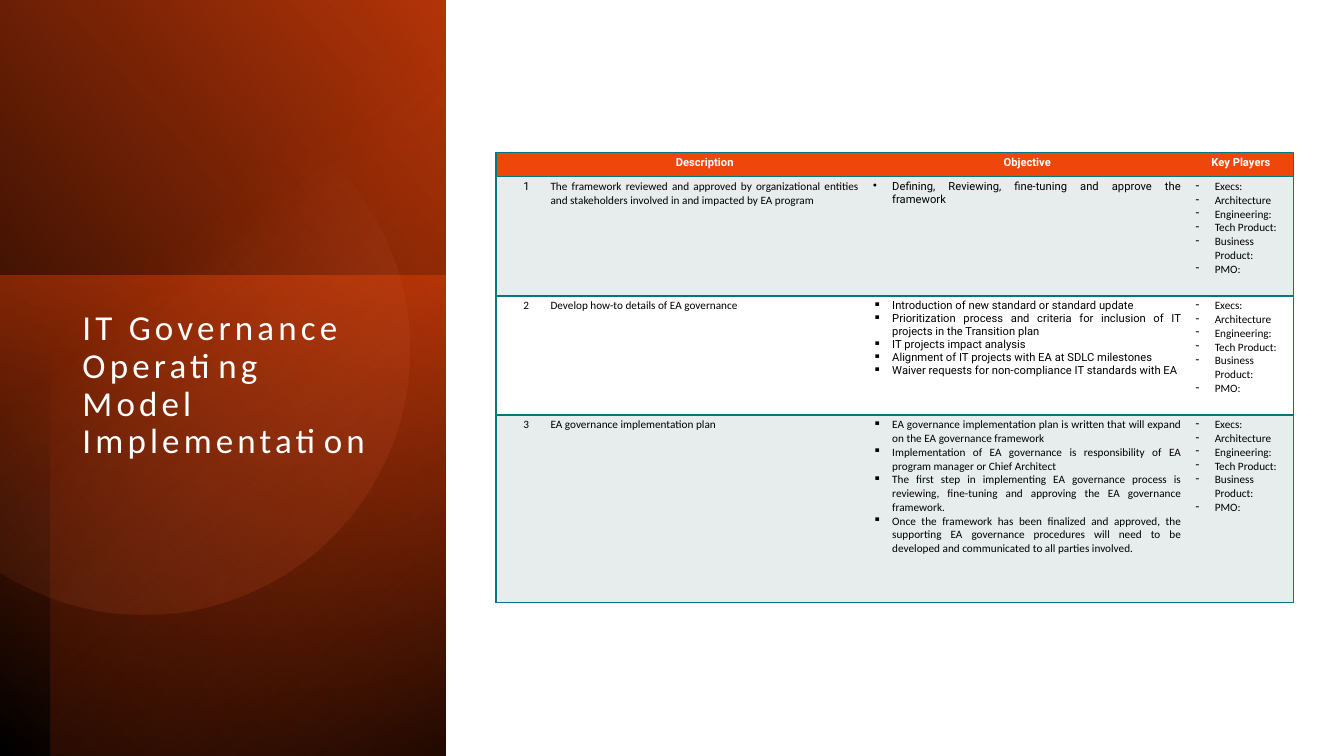
import math
from dataclasses import dataclass

import lxml.etree
import pptx
import pptx.dml.color
import pptx.enum.shapes
import pptx.enum.text
import pptx.oxml.ns
import pptx.util

COLORS = {
    "black": "000000", "white": "FFFFFF", "rust": "B33408", "orange": "EE460B",
    "brown": "772305", "peach": "F88E69", "teal": "04767F", "mist": "E7ECEC",
}
SLIDE_WIDTH = pptx.util.Inches(13.33)
SLIDE_HEIGHT = pptx.util.Inches(7.5)
PANEL_WIDTH = 33.16
JUSTIFY = pptx.enum.text.PP_ALIGN.JUSTIFY
CENTER = pptx.enum.text.PP_ALIGN.CENTER
qn = pptx.oxml.ns.qn


@dataclass
class Stop:
    position: int
    color: str
    opacity: int = 100


@dataclass
class Wash:
    """A panel layer: visible area in percent of the slide, and its gradient."""
    left: float
    top: float
    width: float
    height: float
    turn: int
    flipped: bool
    angle: int
    stops: list[Stop]


@dataclass
class Entry:
    """Text of one table cell."""
    lines: list[str]
    font: str = "Calibri"
    bullet: str = ""
    indent: float = 0


@dataclass
class Stage:
    number: Entry
    description: Entry
    objective: Entry


WASHES = [
    Wash(0, 0, PANEL_WIDTH, 100, 90, True, 310, [Stop(0, "black"), Stop(100, "rust")]),
    Wash(0, 36.5, PANEL_WIDTH, 63.5, 270, False, 190,
         [Stop(0, "orange", 50), Stop(100, "brown", 0)]),
    Wash(3.75, 0, 29.41, 100, 270, True, 220,
         [Stop(0, "black", 59), Stop(69, "orange", 0)]),
]
COLUMN_SHARES = [3.53, 24, 24, 7.8]
ROW_SHARES = [3.2, 15.75, 15.75, 24.8]
HEADINGS = ["", "Description", "Objective", "Key Players"]
KEY_PLAYERS = Entry(["Execs:", "Architecture", "Engineering:", "Tech Product:",
                     "Business Product:", "PMO:"], bullet="-")
STAGES = [
    Stage(
        Entry(["1"], "Roboto", indent=0.2),
        Entry(["The framework reviewed and approved by organizational entities "
               "and stakeholders involved in and impacted by EA program"]),
        Entry(["Defining, Reviewing, fine-tuning and approve the framework"], "Roboto", "•"),
    ),
    Stage(
        Entry(["2"], indent=0.2),
        Entry(["Develop how-to details of EA governance"]),
        Entry(["Introduction of new standard or standard update",
               "Prioritization process and criteria for inclusion of IT projects "
               "in the Transition plan",
               "IT projects impact analysis",
               "Alignment of IT projects with EA at SDLC milestones",
               "Waiver requests for non-compliance IT standards with EA"], "Roboto", "▪"),
    ),
    Stage(
        Entry(["3"], indent=0.2),
        Entry(["EA governance implementation plan"]),
        Entry(["EA governance implementation plan is written that will expand "
               "on the EA governance framework",
               "Implementation of EA governance is responsibility of EA program "
               "manager or Chief Architect",
               "The first step in implementing EA governance process is reviewing, "
               "fine-tuning and approving the EA governance framework.",
               "Once the framework has been finalized and approved, the supporting "
               "EA governance procedures will need to be developed and communicated "
               "to all parties involved."], bullet="▪"),
    ),
]


def across(percent: float) -> int:
    return round(SLIDE_WIDTH * percent / 100)


def down(percent: float) -> int:
    return round(SLIDE_HEIGHT * percent / 100)


def rgb(color: str) -> pptx.dml.color.RGBColor:
    return pptx.dml.color.RGBColor.from_string(COLORS[color])


def add_color(parent, color: str, opacity: int = 100) -> None:
    tint = lxml.etree.SubElement(parent, qn("a:srgbClr"), val=COLORS[color])
    if opacity < 100:
        lxml.etree.SubElement(tint, qn("a:alpha"), val=str(opacity * 1000))


def paint_gradient(layer, angle: float, stops: list[Stop]) -> None:
    layer.shadow.inherit = False
    layer.line.fill.background()
    layer.fill.gradient()
    gradient = layer.element.spPr.find(qn("a:gradFill"))
    gradient.find(qn("a:lin")).set("ang", str(round(angle * 60000)))
    ramp = gradient.find(qn("a:gsLst"))
    for old in list(ramp):
        ramp.remove(old)
    for stop in stops:
        mark = lxml.etree.SubElement(ramp, qn("a:gs"), pos=str(stop.position * 1000))
        add_color(mark, stop.color, stop.opacity)


def add_wash(slide, wash: Wash) -> None:
    # A quarter turn swaps the sides around the same centre
    width, height = across(wash.width), down(wash.height)
    left = across(wash.left) + (width - height) // 2
    top = down(wash.top) + (height - width) // 2
    layer = slide.shapes.add_shape(
        pptx.enum.shapes.MSO_SHAPE.RECTANGLE, left, top, height, width)
    layer.rotation = wash.turn
    if wash.flipped:
        layer.element.spPr.find(qn("a:xfrm")).set("flipH", "1")
    paint_gradient(layer, wash.angle, wash.stops)


def add_glow(slide) -> None:
    """Disc cut off by the left edge of the slide."""
    center_x, center_y, radius = across(10.73), down(46.27), down(35.07)
    reach = math.acos(-center_x / radius)
    steps = 120
    rim = []
    for step in range(steps + 1):
        turn = reach * (2 * step / steps - 1)
        rim.append((round(center_x + radius * math.cos(turn)),
                    round(center_y + radius * math.sin(turn))))
    outline = slide.shapes.build_freeform(*rim[0])
    outline.add_line_segments(rim[1:], close=True)
    paint_gradient(outline.convert_to_shape(), 51.6,
                   [Stop(39, "peach", 0), Stop(100, "rust", 26)])


def add_run(paragraph, text: str, font: str, size: float, color: str, bold: bool = False):
    run = paragraph.add_run()
    run.text = text
    run.font.name, run.font.size, run.font.bold = font, pptx.util.Pt(size), bold
    run.font.color.rgb = rgb(color)
    return run


def add_title(slide) -> None:
    title = slide.shapes.add_textbox(across(5.4), down(40.4), across(23.63), down(44.8))
    title.text_frame.word_wrap = True
    paragraph = title.text_frame.paragraphs[0]
    paragraph.line_spacing = 0.9
    for index, text in enumerate(["IT Governance Operating Model", "Implementation"]):
        if index:
            paragraph.add_line_break()
        run = add_run(paragraph, text, "Calibri", 25, "white")
        run.font._element.set("spc", "300")


def style_cell(cell, fill: str, edges: str) -> None:
    cell.margin_left = cell.margin_right = pptx.util.Inches(0.07)
    cell.margin_top = cell.margin_bottom = pptx.util.Inches(0.03)
    properties = cell._tc.get_or_add_tcPr()
    for side in "LRTB":
        border = lxml.etree.SubElement(properties, qn(f"a:ln{side}"), w="12700")
        if side in edges:
            add_color(lxml.etree.SubElement(border, qn("a:solidFill")), "teal")
        else:
            lxml.etree.SubElement(border, qn("a:noFill"))
    cell.fill.solid()
    cell.fill.fore_color.rgb = rgb(fill)


def write_cell(cell, entry: Entry, color: str, align, bold: bool) -> None:
    for index, line in enumerate(entry.lines):
        frame = cell.text_frame
        paragraph = frame.add_paragraph() if index else frame.paragraphs[0]
        paragraph.alignment = align
        if not line:
            lxml.etree.SubElement(paragraph._p, qn("a:endParaRPr"), sz="800")
            continue
        hang = pptx.util.Inches(0.19) if entry.bullet else 0
        properties = paragraph._p.get_or_add_pPr()
        properties.set("marL", str(hang + pptx.util.Inches(entry.indent)))
        properties.set("indent", str(-hang))
        if entry.bullet:
            lxml.etree.SubElement(properties, qn("a:buChar"), char=entry.bullet)
        add_run(paragraph, line, entry.font, 8, color, bold)


def add_stage_table(slide) -> None:
    rows = [[Entry([heading], "Roboto") for heading in HEADINGS]]
    rows += [[s.number, s.description, s.objective, KEY_PLAYERS] for s in STAGES]
    stages = slide.shapes.add_table(
        len(rows), len(HEADINGS), across(36.91), down(20.2),
        across(sum(COLUMN_SHARES)), down(sum(ROW_SHARES))).table
    stages.first_row = stages.horz_banding = False
    for column, share in zip(stages.columns, COLUMN_SHARES):
        column.width = across(share)
    for row, share in zip(stages.rows, ROW_SHARES):
        row.height = down(share)
    for r, entries in enumerate(rows):
        header = r == 0
        fill = "orange" if header else "mist" if r % 2 else "white"
        for c, entry in enumerate(entries):
            cell = stages.cell(r, c)
            style_cell(cell, fill, "TB" + {0: "L", len(entries) - 1: "R"}.get(c, ""))
            write_cell(cell, entry, "white" if header else "black",
                       CENTER if header else JUSTIFY, header)


def main() -> None:
    deck = pptx.Presentation()
    deck.slide_width, deck.slide_height = SLIDE_WIDTH, SLIDE_HEIGHT
    slide = deck.slides.add_slide(deck.slide_layouts[6])
    # Title panel
    for wash in WASHES:
        add_wash(slide, wash)
    add_glow(slide)
    add_title(slide)
    # Governance stages
    add_stage_table(slide)
    deck.save("out.pptx")


if __name__ == "__main__":
    main()
